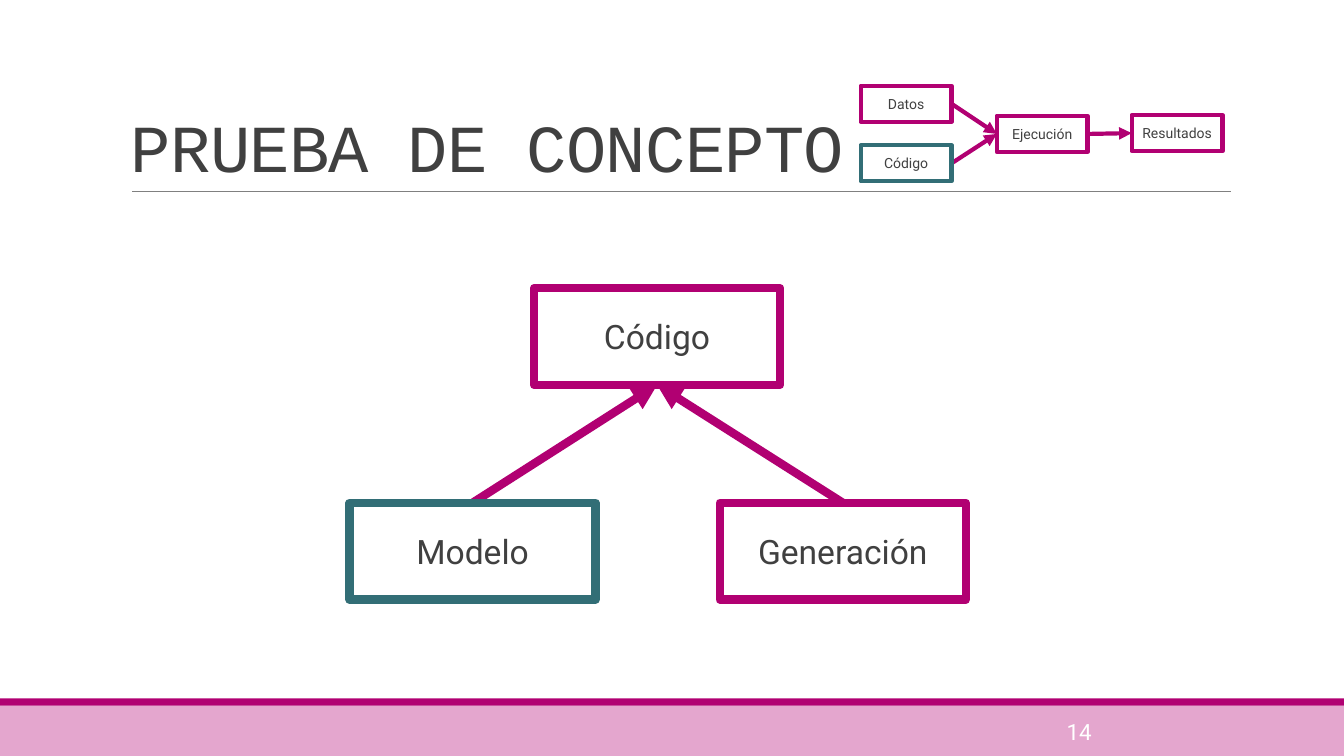
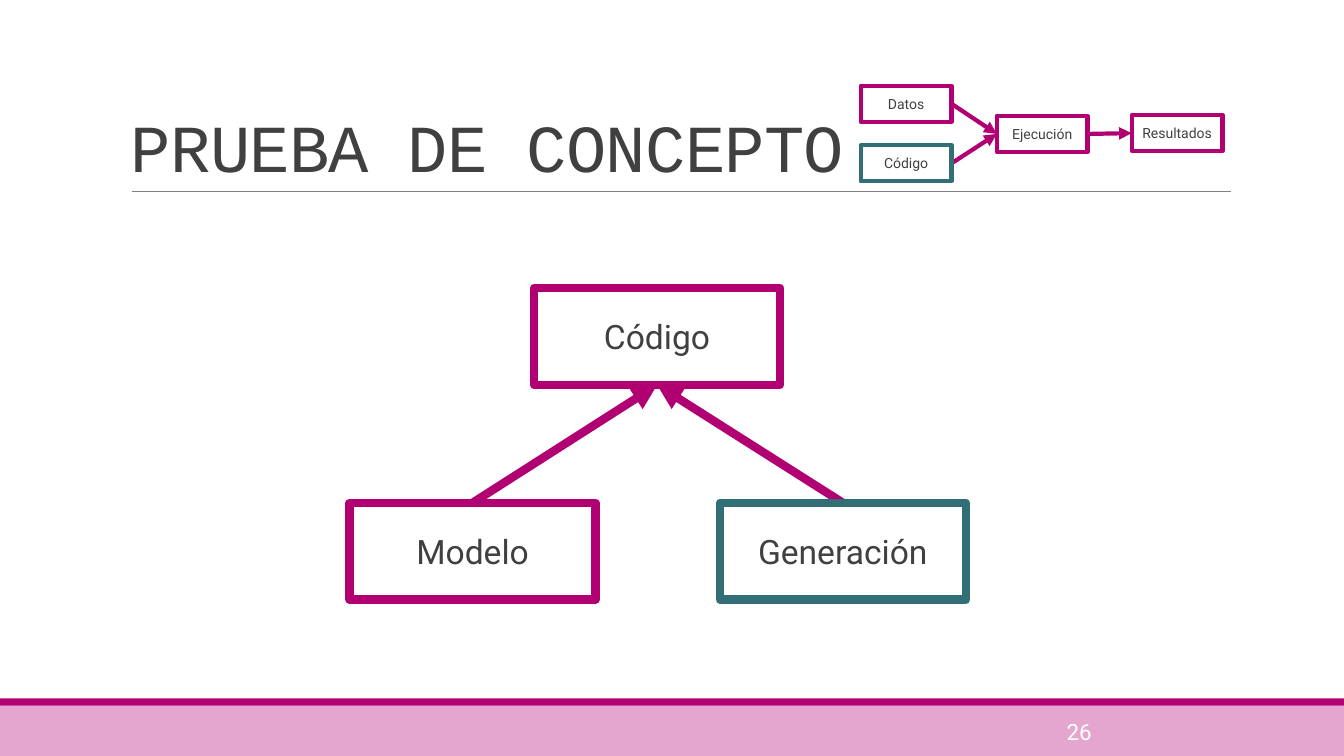
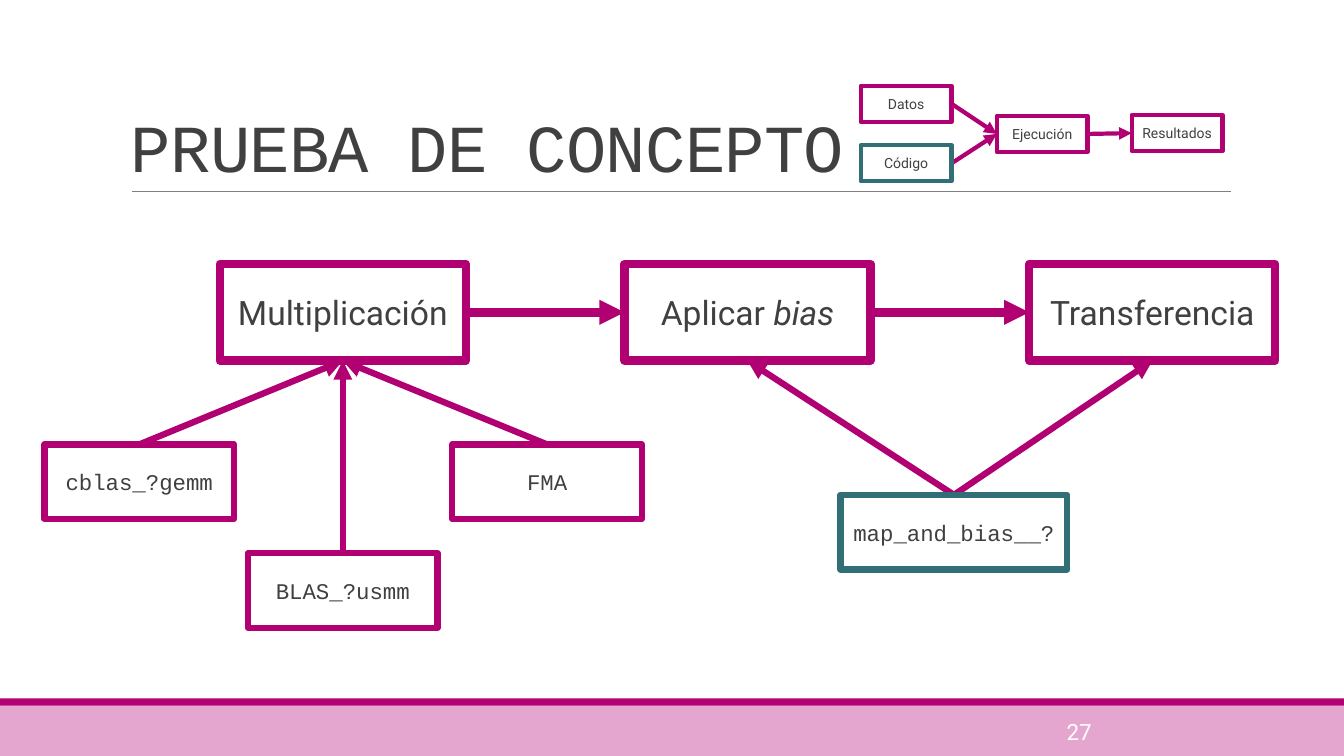
"""Build three proof-of-concept slides with a shared frame and box diagrams."""
from dataclasses import dataclass, replace

import pptx
import pptx.dml.color
import pptx.enum.shapes
import pptx.enum.text
import pptx.oxml.ns
import pptx.oxml.xmlchemy
import pptx.util

Cm = pptx.util.Cm
Pt = pptx.util.Pt
ALIGN = pptx.enum.text.PP_ALIGN
ANCHOR = pptx.enum.text.MSO_ANCHOR
RECTANGLE = pptx.enum.shapes.MSO_SHAPE.RECTANGLE
STRAIGHT = pptx.enum.shapes.MSO_CONNECTOR.STRAIGHT

COLOURS = {
    "accent": "B10072",
    "highlight": "326E76",
    "band": "E4A6CE",
    "rule": "808080",
    "text": "404040",
    "white": "FFFFFF",
}
SANS = "Roboto"
MONO = "Courier New"
TITLE = "PRUEBA DE CONCEPTO"
SLIDE_WIDTH, SLIDE_HEIGHT = 33.87, 19.05
TOP, LEFT, BOTTOM, RIGHT = range(4)


@dataclass(frozen=True)
class BoxStyle:
    width: float
    height: float
    line: float
    size: float
    font: str


@dataclass(frozen=True)
class Box:
    label: str
    left: float
    top: float
    style: BoxStyle
    highlighted: bool = False
    italic: str = ""


@dataclass(frozen=True)
class Link:
    start: str
    end: str
    line: float
    start_side: int = TOP
    end_side: int = BOTTOM


@dataclass(frozen=True)
class Diagram:
    boxes: list[Box]
    links: list[Link]


MINI = BoxStyle(2.29, 0.91, 3, 10, SANS)
LARGE = BoxStyle(6.2, 2.44, 6, 24, SANS)
SMALL = BoxStyle(4.78, 1.88, 4.5, 16, MONO)
WIDE = replace(SMALL, width=5.72)

OVERVIEW = Diagram(
    [
        Box("Datos", 21.69, 2.16, MINI),
        Box("Código", 21.69, 3.66, MINI, highlighted=True),
        Box("Ejecución", 25.12, 2.92, MINI),
        Box("Resultados", 28.52, 2.9, MINI),
    ],
    [
        Link(start, end, MINI.line, RIGHT, LEFT)
        for start, end in (
            ("Datos", "Ejecución"),
            ("Código", "Ejecución"),
            ("Ejecución", "Resultados"),
        )
    ],
)


def code_diagram(highlighted: str) -> Diagram:
    """Return the code tree with one of its two sources highlighted."""
    sources = (("Modelo", 8.81), ("Generación", 18.14))
    return Diagram(
        [Box("Código", 13.46, 7.26, LARGE)]
        + [Box(label, left, 12.67, LARGE, label == highlighted) for label, left in sources],
        [Link(label, "Código", LARGE.line) for label, _ in sources],
    )


def steps_diagram() -> Diagram:
    """Return the three calculation steps and the routines behind them."""
    steps = (("Multiplicación", ""), ("Aplicar ", "bias"), ("Transferencia", ""))
    routines = (
        Box("cblas_?gemm", 1.12, 11.2, SMALL),
        Box("BLAS_?usmm", 6.25, 13.94, SMALL),
        Box("FMA", 11.4, 11.2, SMALL),
    )
    mapper = Box("map_and_bias__?", 21.18, 12.47, WIDE, highlighted=True)
    names = [label for label, _ in steps]
    return Diagram(
        [
            Box(label, 5.54 + 10.2 * index, 6.65, LARGE, italic=italic)
            for index, (label, italic) in enumerate(steps)
        ]
        + [*routines, mapper],
        [Link(start, end, LARGE.line, RIGHT, LEFT) for start, end in zip(names, names[1:])]
        + [Link(routine.label, names[0], SMALL.line) for routine in routines]
        + [Link(mapper.label, name, WIDE.line) for name in names[1:]],
    )


def colour(name: str) -> pptx.dml.color.RGBColor:
    """Return a named colour of the palette."""
    return pptx.dml.color.RGBColor.from_string(COLOURS[name])


def append_element(parent, tag: str, **attributes: str) -> None:
    """Append a new XML element with attributes to a parent."""
    child = pptx.oxml.xmlchemy.OxmlElement(tag)
    for name, value in attributes.items():
        child.set(name, value)
    parent.append(child)


def outline_element(shape):
    """Return the XML outline of a shape or connector."""
    return shape.element.spPr.find(pptx.oxml.ns.qn("a:ln"))


def format_text(frame, size: float, font: str, fill: str, align, anchor) -> None:
    """Format every run of a text frame."""
    frame.word_wrap = True
    frame.vertical_anchor = anchor
    for para in frame.paragraphs:
        para.alignment = align
        for span in para.runs:
            span.font.size = Pt(size)
            span.font.name = font
            span.font.color.rgb = colour(fill)


def add_rectangle(shapes, left: float, top: float, width: float, height: float, fill: str):
    """Add a flat rectangle without an outline."""
    shape = shapes.add_shape(RECTANGLE, Cm(left), Cm(top), Cm(width), Cm(height))
    shape.shadow.inherit = False
    shape.fill.solid()
    shape.fill.fore_color.rgb = colour(fill)
    shape.line.fill.background()
    return shape


def add_text(shapes, text: str, left: float, top: float, width: float, height: float):
    """Add a text box."""
    box = shapes.add_textbox(Cm(left), Cm(top), Cm(width), Cm(height))
    box.text_frame.text = text
    return box


def add_line(shapes, start: tuple, end: tuple, fill: str, width: float):
    """Add a straight line without a shadow."""
    line = shapes.add_connector(STRAIGHT, *(Cm(value) for value in (*start, *end)))
    line.line.color.rgb = colour(fill)
    line.line.width = Pt(width)
    append_element(line.element.spPr, "a:effectLst")
    return line


def add_box(shapes, box: Box):
    """Add an outlined box with a centred label."""
    style = box.style
    shape = add_rectangle(shapes, box.left, box.top, style.width, style.height, "white")
    shape.line.color.rgb = colour("highlight" if box.highlighted else "accent")
    shape.line.width = Pt(style.line)
    append_element(outline_element(shape), "a:round")
    para = shape.text_frame.paragraphs[0]
    para.text = box.label
    if box.italic:
        span = para.add_run()
        span.text = box.italic
        span.font.italic = True
    format_text(shape.text_frame, style.size, style.font, "text", ALIGN.CENTER, ANCHOR.MIDDLE)
    return shape


def add_link(shapes, link: Link, drawn: dict) -> None:
    """Add an arrow joining two boxes and place it behind them."""
    ends = drawn[link.start], drawn[link.end]
    corners = [(box.left.cm, box.top.cm) for box in ends]
    arrow = add_line(shapes, *corners, "accent", link.line)
    arrow.begin_connect(ends[0], link.start_side)
    arrow.end_connect(ends[1], link.end_side)
    append_element(outline_element(arrow), "a:tailEnd", type="triangle")
    shapes.element.insert(2, arrow.element)


def draw_diagram(shapes, diagram: Diagram) -> None:
    """Draw the boxes of a diagram and the arrows between them."""
    drawn = {box.label: add_box(shapes, box) for box in diagram.boxes}
    for link in diagram.links:
        add_link(shapes, link, drawn)


def draw_frame(page, number: int) -> None:
    """Draw the bands, title, rule, page number and overview of a slide."""
    shapes = page.shapes
    add_rectangle(shapes, 0, 17.78, SLIDE_WIDTH, 1.27, "band")
    add_rectangle(shapes, 0, 17.6, SLIDE_WIDTH, 0.18, "accent")
    add_line(shapes, (3.33, 4.83), (31.01, 4.83), "rule", 0.5)
    title = add_text(shapes, TITLE, 3.05, 0.79, 27.94, 4.04)
    format_text(title.text_frame, 48, MONO, "text", ALIGN.LEFT, ANCHOR.BOTTOM)
    title.text_frame.paragraphs[0].line_spacing = 0.85
    title.element.find(".//" + pptx.oxml.ns.qn("a:rPr")).set("spc", "-50")
    footer = add_text(shapes, str(number), 24.13, 17.93, 3.63, 1.02)
    format_text(footer.text_frame, 16, SANS, "white", ALIGN.RIGHT, ANCHOR.MIDDLE)
    draw_diagram(shapes.add_group_shape().shapes, OVERVIEW)


def main() -> None:
    """Build and save the deck."""
    deck = pptx.Presentation()
    deck.slide_width = Cm(SLIDE_WIDTH)
    deck.slide_height = Cm(SLIDE_HEIGHT)
    diagrams = {
        14: code_diagram("Modelo"),
        26: code_diagram("Generación"),
        27: steps_diagram(),
    }
    for number, diagram in diagrams.items():
        page = deck.slides.add_slide(deck.slide_layouts[6])
        draw_frame(page, number)
        draw_diagram(page.shapes, diagram)
    deck.save("out.pptx")


if __name__ == "__main__":
    main()
